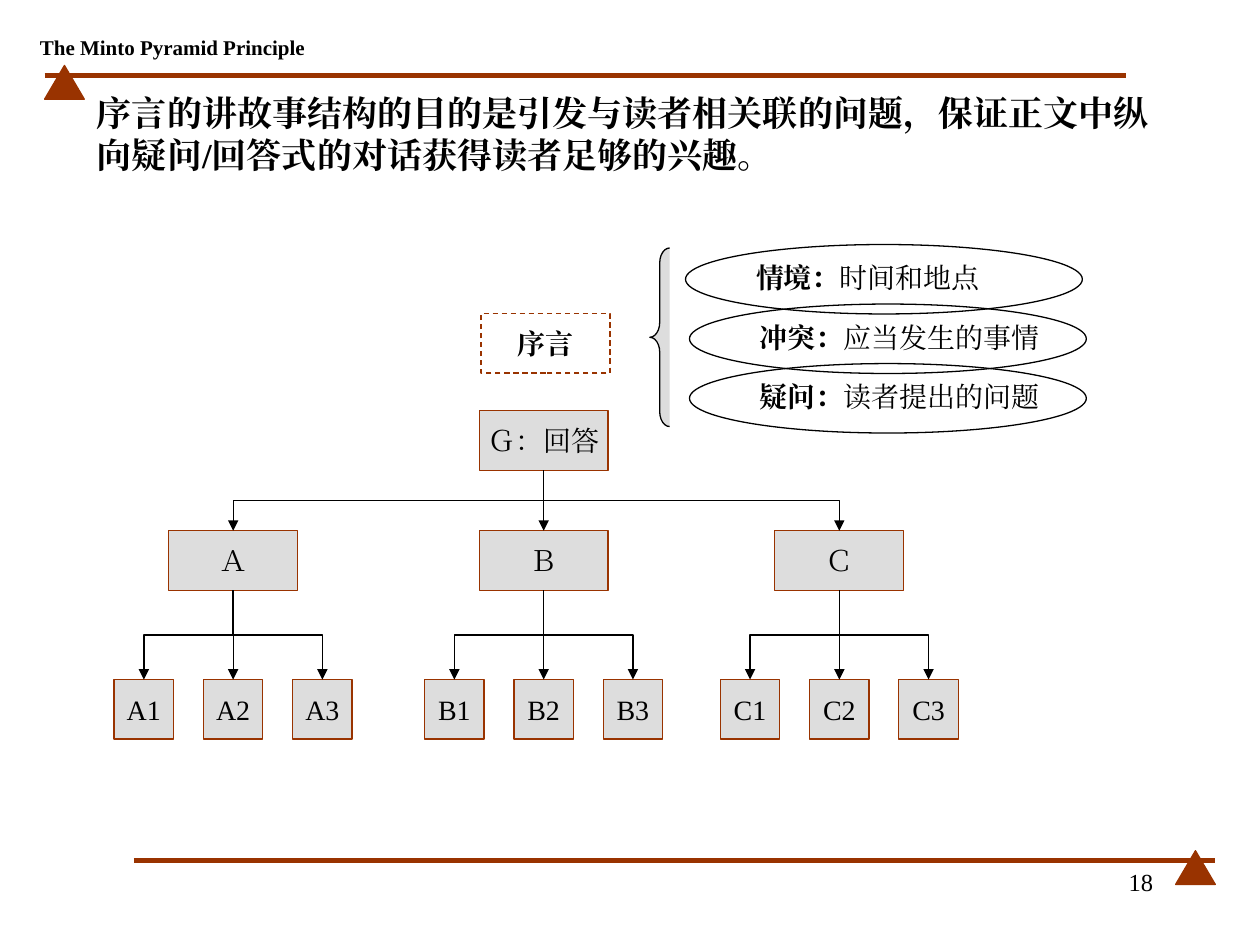
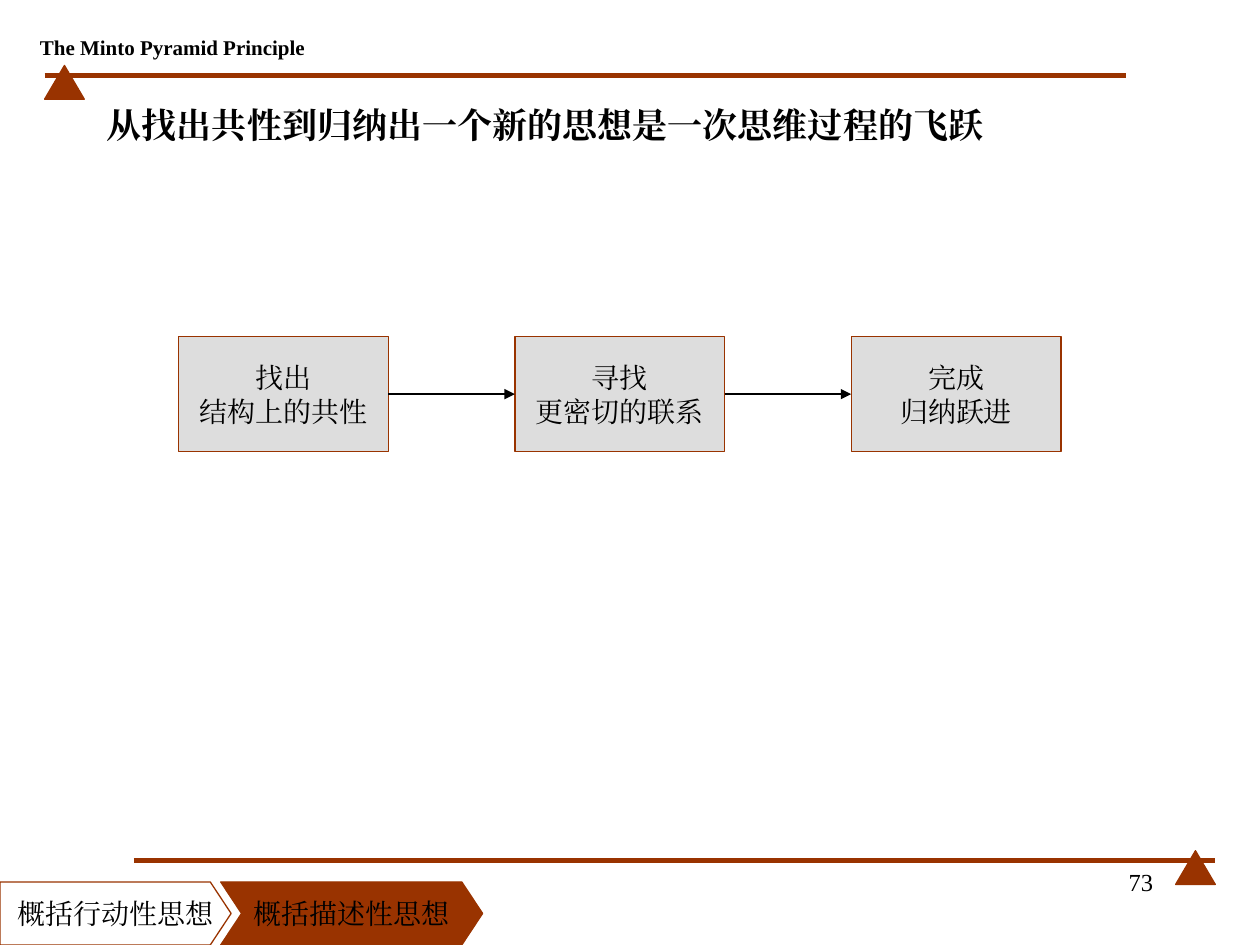
from dataclasses import dataclass

from lxml import etree
from pptx import Presentation
from pptx.dml.color import RGBColor
from pptx.enum import dml, lang, shapes, text
from pptx.oxml.ns import qn
from pptx.util import Cm, Pt


@dataclass(frozen=True)
class Theme:
    rust: RGBColor = RGBColor(0x99, 0x33, 0x00)
    grey: RGBColor = RGBColor(0xDD, 0xDD, 0xDD)
    ink: RGBColor = RGBColor(0, 0, 0)
    font: str = "Times New Roman"
    title: int = 20
    body: int = 16
    page: int = 14
    header: int = 12
    thin: float = 0.75
    rule: float = 3


T = Theme()
KIND = shapes.MSO_SHAPE
LINK = shapes.MSO_CONNECTOR
ALIGN = text.PP_ALIGN
ANCHOR = text.MSO_ANCHOR

# Content
HEADER = "The Minto Pyramid Principle"
PYRAMID = {
    "title": "序言的讲故事结构的目的是引发与读者相关联的问题，"
             "保证正文中纵向疑问/回答式的对话获得读者足够的兴趣。",
    "title_at": (1.7, 1.88),
    "page": "18",
    "preface": "序言",
    "answer": "Ｇ：回答",
    # label, centre of the branch, children
    "branches": [
        ("Ａ", 4.7, ["A1", "A2", "A3"]),
        ("Ｂ", 10.96, ["B1", "B2", "B3"]),
        ("Ｃ", 16.92, ["C1", "C2", "C3"]),
    ],
    # left edge, lead word, explanation
    "story": [
        (13.82, "情境：", "时间和地点"),
        (13.9, "冲突：", "应当发生的事情"),
        (13.9, "疑问：", "读者提出的问题"),
    ],
}
LEAP = {
    "title": "从找出共性到归纳出一个新的思想是一次思维过程的飞跃",
    "title_at": (1.9, 1.7),
    "page": "73",
    "steps": ["找出\n结构上的共性", "寻找\n更密切的联系", "完成\n归纳跃进"],
    # label, left, width, depth of the notch, fill
    "tabs": [
        ("概括行动性思想", 0, 4.66, 0, None),
        ("概括描述性思想", 4.45, 5.28, 0.42, T.rust),
    ],
}


# Text and shape helpers
def style(p, size, bold=None, align=ALIGN.CENTER):
    p.alignment = align
    f = p.font
    f.name, f.size, f.bold = T.font, Pt(size), bold
    f.color.rgb = T.ink
    f.language_id = lang.MSO_LANGUAGE_ID.SIMPLIFIED_CHINESE
    props = p._p.pPr.find(qn("a:defRPr"))
    etree.SubElement(props, qn("a:ea")).set("typeface", T.font)


def write(sp, words, size=T.body, bold=None, align=ALIGN.CENTER,
          anchor=ANCHOR.MIDDLE, wrap=False):
    tf = sp.text_frame
    tf.text = words
    tf.word_wrap, tf.vertical_anchor = wrap, anchor
    tf.auto_size = text.MSO_AUTO_SIZE.NONE
    for p in tf.paragraphs:
        style(p, size, bold, align)


def paint(sp, fill=None, line=T.rust):
    sp.shadow.inherit = False
    if fill is None:
        sp.fill.background()
    else:
        sp.fill.solid()
        sp.fill.fore_color.rgb = fill
    sp.line.color.rgb, sp.line.width = line, Pt(T.thin)
    return sp


def shape(s, kind, x, y, w, h, fill=None, line=T.rust):
    sp = s.shapes.add_shape(kind, Cm(x), Cm(y), Cm(w), Cm(h))
    return paint(sp, fill, line)


def box(s, words, x, y, w, h, fill=T.grey, bold=None):
    sp = shape(s, KIND.RECTANGLE, x, y, w, h, fill)
    write(sp, words, bold=bold)
    return sp


def textbox(s, words, x, y, w, h, **kw):
    write(s.shapes.add_textbox(Cm(x), Cm(y), Cm(w), Cm(h)), words, **kw)


def connector(s, x1, y1, x2, y2, kind=LINK.STRAIGHT, color=T.ink,
              width=T.thin, arrow=True):
    c = s.shapes.add_connector(kind, Cm(x1), Cm(y1), Cm(x2), Cm(y2))
    c.line.color.rgb, c.line.width = color, Pt(width)
    if arrow:
        ln = c.line._get_or_add_ln()
        etree.SubElement(ln, qn("a:tailEnd")).set("type", "triangle")
    etree.SubElement(c._element.spPr, qn("a:effectLst"))
    return c


def branch(s, x1, y1, x2, y2):
    """Arrow that goes down, across and down again."""
    if x1 == x2:
        connector(s, x1, y1, x2, y2)
        return
    # An elbow runs sideways, so lay it out unturned and rotate it
    cx, cy = (x1 + x2) / 2, (y1 + y2) / 2
    half_w, half_h = (y2 - y1) / 2, abs(x2 - x1) / 2
    side = 1 if x2 < x1 else -1
    c = connector(s, cx - side * half_w, cy - half_h,
                  cx + side * half_w, cy + half_h, LINK.ELBOW)
    turn = 90 if side == 1 else 270
    c._element.spPr.find(qn("a:xfrm")).set("rot", str(turn * 60000))


# Frame shared by the slides
def new_slide(prs, content):
    s = prs.slides.add_slide(prs.slide_layouts[5])
    for x1, x2, y, peak in ((0.9, 22.7, 1.52, 0.9), (2.7, 24.5, 17.35, 23.7)):
        connector(s, x1, y, x2, y, color=T.rust, width=T.rule, arrow=False)
        shape(s, KIND.ISOSCELES_TRIANGLE, peak, y - 0.2, 0.8, 0.68, T.rust)
    textbox(s, HEADER, 0.58, 0.6, 5.8, 0.72, size=T.header, bold=True)
    textbox(s, content["page"], 18.2, 17.35, 5.3, 1.27, size=T.page,
            align=ALIGN.RIGHT, anchor=ANCHOR.TOP, wrap=True)
    title = s.shapes.title
    title.left, title.top = (Cm(v) for v in content["title_at"])
    title.width, title.height = Cm(22.2), Cm(1.62)
    write(title, content["title"], T.title, True, ALIGN.LEFT, wrap=True)
    return s


# Slide with the pyramid
def pyramid_slide(prs):
    s = new_slide(prs, PYRAMID)
    w, h, step = 2.6, 1.2, 1.8
    top_y, branch_y, leaf_y = 8.28, 10.7, 13.7
    top_x = PYRAMID["branches"][1][1]
    box(s, PYRAMID["answer"], top_x - w / 2, top_y, w, h)
    for label, cx, leaves in PYRAMID["branches"]:
        box(s, label, cx - w / 2, branch_y, w, h)
        branch(s, top_x, top_y + h, cx, branch_y)
        for i, leaf in enumerate(leaves):
            leaf_x = cx + (i - 1) * step
            box(s, leaf, leaf_x - h / 2, leaf_y, h, h)
            branch(s, cx, branch_y + h, leaf_x, leaf_y)

    # Preface and its story
    for i, (x, lead, rest) in enumerate(PYRAMID["story"]):
        sp = shape(s, KIND.OVAL, x, 4.93 + i * 1.2, 8, 1.4, line=T.ink)
        write(sp, "", align=ALIGN.LEFT, anchor=ANCHOR.TOP)
        p = sp.text_frame.paragraphs[0]
        for words, bold in ((lead, True), (rest, False)):
            r = p.add_run()
            r.text, r.font.bold = words, bold
    brace = shape(s, KIND.LEFT_BRACE, 13.1, 5, 0.4, 3.6, T.grey, T.ink)
    brace.adjustments[0] = 0.75
    preface = box(s, PYRAMID["preface"], 9.7, 6.32, w, h, None, True)
    preface.line.dash_style = dml.MSO_LINE.DASH


# Slide with the three steps
def leap_slide(prs):
    s = new_slide(prs, LEAP)
    y, h, tip = 17.78, 1.27, 0.42
    for label, x, w, notch, fill in LEAP["tabs"]:
        fb = s.shapes.build_freeform(Cm(x), Cm(y))
        points = [(x + w - tip, y), (x + w, y + h / 2),
                  (x + w - tip, y + h), (x, y + h)]
        if notch:
            points.append((x + notch, y + h / 2))
        fb.add_line_segments([(Cm(a), Cm(b)) for a, b in points])
        write(paint(fb.convert_to_shape(), fill), label)

    w, h, gap, y = 4.23, 2.33, 2.55, 6.78
    for i, words in enumerate(LEAP["steps"]):
        x = 3.6 + i * (w + gap)
        box(s, words, x, y, w, h)
        if i:
            connector(s, x - gap, y + h / 2, x, y + h / 2)


def main():
    prs = Presentation()
    prs.slide_width, prs.slide_height = Cm(25.4), Cm(19.05)
    pyramid_slide(prs)
    leap_slide(prs)
    prs.save("out.pptx")


if __name__ == "__main__":
    main()
